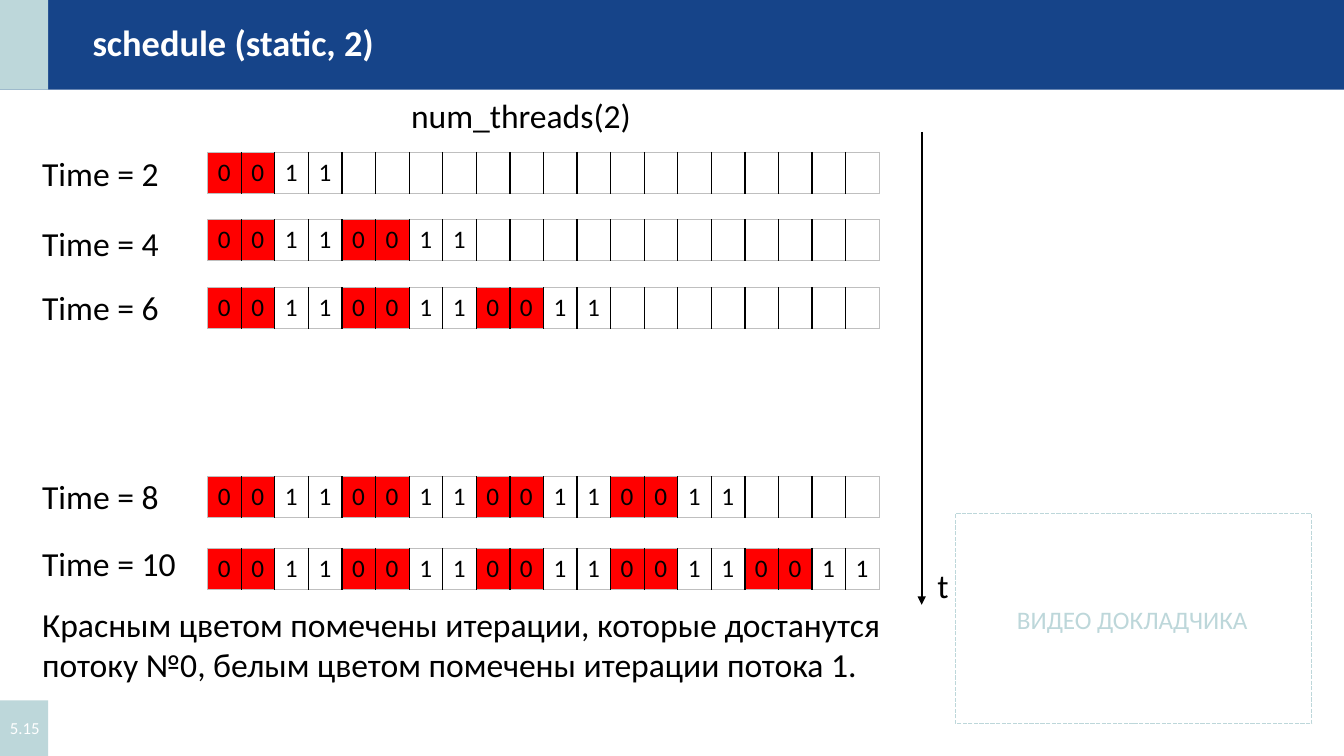
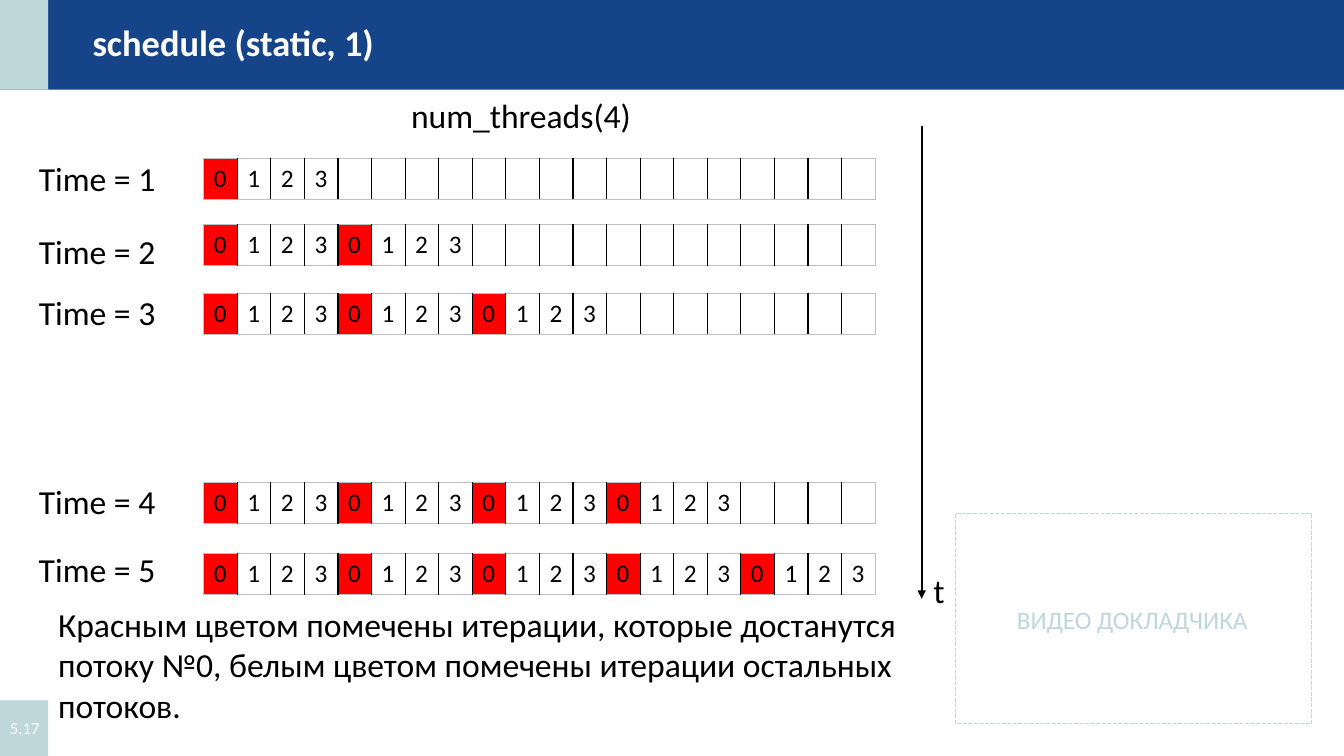
"""Build two slides that show how OpenMP static scheduling deals out iterations."""
from dataclasses import dataclass
from typing import Optional

from lxml.etree import SubElement
from pptx import Presentation
from pptx.dml.color import RGBColor as Rgb
from pptx.enum.dml import MSO_LINE_DASH_STYLE as Dash
from pptx.enum.shapes import MSO_CONNECTOR as Connector, MSO_SHAPE as Preset
from pptx.enum.text import MSO_ANCHOR as Anchor, MSO_AUTO_SIZE as AutoSize, PP_ALIGN as Align
from pptx.oxml import parse_xml
from pptx.oxml.ns import nsdecls, qn
from pptx.slide import Slide
from pptx.table import _Cell as Cell
from pptx.util import Pt


@dataclass(frozen=True)
class Theme:
    """Colours, font and type sizes of the deck."""
    navy: str = "164489"
    mist: str = "BDD7DA"
    red: str = "FF0000"
    white: str = "FFFFFF"
    black: str = "000000"
    edge: str = "BFBFBF"
    font: str = "Calibri"
    title: float = 26
    body: float = 24
    small: float = 18
    number: float = 12


@dataclass(frozen=True)
class Box:
    """A rectangle in points."""
    left: float
    top: float
    width: float
    height: float

    def lengths(self) -> tuple[Pt, Pt, Pt, Pt]:
        """Return the four lengths for python-pptx."""
        return Pt(self.left), Pt(self.top), Pt(self.width), Pt(self.height)


@dataclass(frozen=True)
class Panel:
    """A plain rectangle that every slide carries."""
    box: Box
    fill: Optional[str] = None
    outline: Optional[str] = None


@dataclass(frozen=True)
class Step:
    """Tops of the time label and of its iteration row."""
    label_top: float
    row_top: float


@dataclass(frozen=True)
class Schedule:
    """Content and layout of one schedule slide."""
    chunk: int
    threads: int
    number: str
    conclusion: str
    conclusion_box: Box
    label_left: float
    row_left: float
    axis_top: float
    axis_bottom: float
    axis_label: Box
    steps: tuple[Step, ...]


THEME = Theme()
ITERATIONS = 20
CELL_WIDTH = 24
ROW_HEIGHT = 29.2
LABEL_HEIGHT = 36.35
AXIS_LEFT = 658.4

PANELS = (
    Panel(Box(0, 0, 960, 64), fill=THEME.navy),
    Panel(Box(0, 0, 34.4, 64), fill=THEME.mist),
    Panel(Box(682.5, 367, 254.4, 150), outline=THEME.mist),
    Panel(Box(0, 500.3, 34.4, 39.7), fill=THEME.mist),
)

SCHEDULES = (
    Schedule(
        2, 2, "5.15",
        "Красным цветом помечены итерации, которые достанутся потоку №0, "
        "белым цветом помечены итерации потока 1.",
        Box(23, 427.8, 646.5, 65.4), 23, 148.4, 94.3, 432,
        Box(662.4, 400, 22.3, LABEL_HEIGHT),
        (Step(105.8, 108.7), Step(155.5, 156.8), Step(201.6, 205.3),
         Step(336.4, 340.4), Step(384.5, 391.6)),
    ),
    Schedule(
        1, 4, "5.17",
        "Красным цветом помечены итерации, которые достанутся потоку №0, "
        "белым цветом помечены итерации остальных потоков.",
        Box(34.4, 427.8, 648, 94.5), 20.6, 145.5, 90, 427.7,
        Box(659.6, 403.4, 22.3, LABEL_HEIGHT),
        (Step(109.6, 113), Step(161.3, 160.4), Step(205.2, 209.4),
         Step(340, 344.5), Step(388.2, 395.3)),
    ),
)


def add_panel(slide: Slide, panel: Panel) -> None:
    """Draw a filled or a dashed rectangle."""
    area = slide.shapes.add_shape(Preset.RECTANGLE, *panel.box.lengths())
    area.shadow.inherit = False
    if panel.fill:
        area.fill.solid()
        area.fill.fore_color.rgb = Rgb.from_string(panel.fill)
    else:
        area.fill.background()
    if panel.outline:
        area.line.color.rgb = Rgb.from_string(panel.outline)
        area.line.width = Pt(1)
        area.line.dash_style = Dash.SQUARE_DOT
        preset_dash = area.line._ln.find(qn("a:prstDash"))
        preset_dash.set("val", "sysDash")
    else:
        area.line.fill.background()


def add_text(slide: Slide, box: Box, words: str, size: float = THEME.body,
             color: str = THEME.black, bold: bool = False, wrap: bool = True,
             grow: bool = True, line_spacing: Optional[float] = None) -> None:
    """Write one paragraph; a box that does not grow centres it vertically."""
    frame = slide.shapes.add_textbox(*box.lengths()).text_frame
    frame.text = words
    frame.word_wrap = wrap
    frame.auto_size = AutoSize.SHAPE_TO_FIT_TEXT if grow else AutoSize.NONE
    frame.vertical_anchor = Anchor.TOP if grow else Anchor.MIDDLE
    paragraph = frame.paragraphs[0]
    if line_spacing:
        paragraph.line_spacing = line_spacing
    font = paragraph.runs[0].font
    font.name, font.size, font.bold = THEME.font, Pt(size), bold
    font.color.rgb = Rgb.from_string(color)


def set_borders(cell: Cell, first: bool, last: bool) -> None:
    """Draw black lines between cells and grey ones around the row."""
    sides = {
        "lnL": THEME.edge if first else THEME.black,
        "lnR": THEME.edge if last else THEME.black,
        "lnT": THEME.edge,
        "lnB": THEME.edge,
    }
    properties = cell._tc.get_or_add_tcPr()
    for order, (side, color) in enumerate(sides.items()):
        width = Pt(1) if color == THEME.black else Pt(0.75)
        properties.insert(order, parse_xml(
            f'<a:{side} {nsdecls("a")} w="{int(width)}"><a:solidFill>'
            f'<a:srgbClr val="{color}"/></a:solidFill></a:{side}>'))


def add_iterations(slide: Slide, schedule: Schedule, top: float, done: int) -> None:
    """Draw the row of iterations, with the first ones given to threads."""
    box = Box(schedule.row_left, top, ITERATIONS * CELL_WIDTH, ROW_HEIGHT)
    row = slide.shapes.add_table(1, ITERATIONS, *box.lengths()).table
    row.first_row = row.horz_banding = False
    for iteration in range(ITERATIONS):
        row.columns[iteration].width = Pt(CELL_WIDTH)
        cell = row.cell(0, iteration)
        thread = iteration // schedule.chunk % schedule.threads
        assigned = iteration < done
        cell.fill.solid()
        cell.fill.fore_color.rgb = Rgb.from_string(
            THEME.red if assigned and thread == 0 else THEME.white)
        set_borders(cell, iteration == 0, iteration == ITERATIONS - 1)
        if assigned:
            cell.text_frame.text = str(thread)
            paragraph = cell.text_frame.paragraphs[0]
            paragraph.alignment = Align.LEFT
            font = paragraph.runs[0].font
            font.name, font.size = THEME.font, Pt(THEME.small)
            font.color.rgb = Rgb.from_string(THEME.black)


def add_time_axis(slide: Slide, schedule: Schedule) -> None:
    """Draw the downward time arrow and its letter."""
    axis = slide.shapes.add_connector(
        Connector.STRAIGHT, Pt(AXIS_LEFT), Pt(schedule.axis_top),
        Pt(AXIS_LEFT), Pt(schedule.axis_bottom))
    axis.line.color.rgb = Rgb.from_string(THEME.black)
    axis.line.width = Pt(1.5)
    SubElement(axis.line._ln, qn("a:tailEnd"), type="triangle")
    SubElement(axis._element.spPr, qn("a:effectLst"))
    add_text(slide, schedule.axis_label, "t", wrap=False)


def add_frame(slide: Slide, title: str, number: str) -> None:
    """Draw the bands, the speaker area, the title and the slide number."""
    for panel in PANELS:
        add_panel(slide, panel)
    add_text(slide, Box(719.3, 427.8, 180.7, 29.1), "ВИДЕО ДОКЛАДЧИКА",
             THEME.small, THEME.mist, wrap=False)
    add_text(slide, Box(59, 17.3, 697.7, 28.8), title, THEME.title,
             THEME.white, bold=True, grow=False, line_spacing=0.9)
    add_text(slide, Box(0, 505.8, 40.3, 28.8), number, THEME.number,
             THEME.white, grow=False)


def add_schedule(slide: Slide, schedule: Schedule) -> None:
    """Draw one complete schedule slide."""
    add_frame(slide, f"schedule (static, {schedule.chunk})", schedule.number)
    add_text(slide, schedule.conclusion_box, schedule.conclusion)
    add_text(slide, Box(286.5, 64, 173.5, LABEL_HEIGHT),
             f"num_threads({schedule.threads})", wrap=False)
    for count, step in enumerate(schedule.steps, 1):
        time = count * schedule.chunk
        add_iterations(slide, schedule, step.row_top, time * schedule.threads)
        width = 124.6 if count == len(schedule.steps) else 102.2
        add_text(slide, Box(schedule.label_left, step.label_top, width, LABEL_HEIGHT),
                 f"Time = {time}")
    add_time_axis(slide, schedule)


def main() -> None:
    """Build and save the deck."""
    deck = Presentation()
    deck.slide_width, deck.slide_height = Pt(960), Pt(540)
    for schedule in SCHEDULES:
        add_schedule(deck.slides.add_slide(deck.slide_layouts[6]), schedule)
    deck.save("out.pptx")


main()
